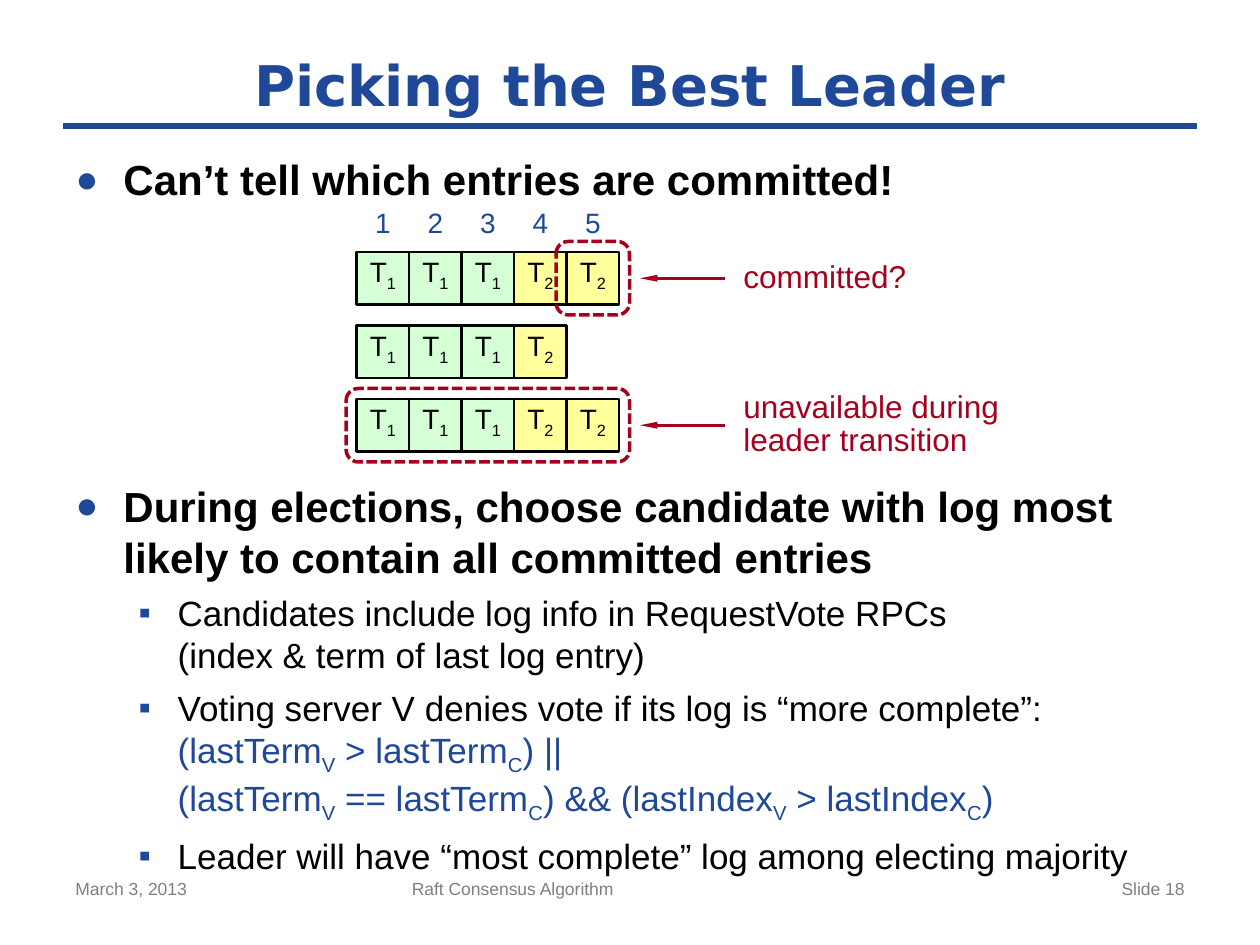
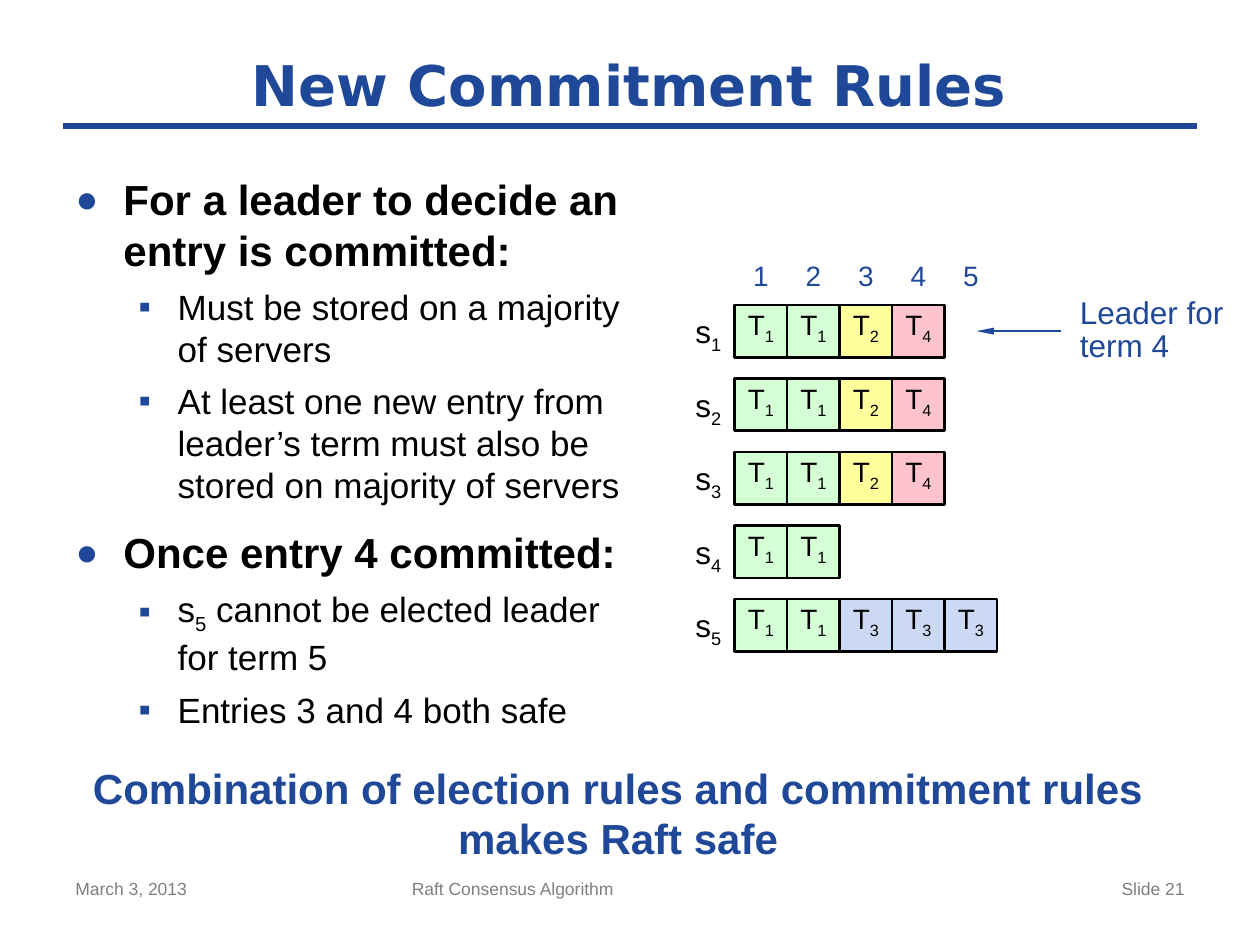
"""Build two slides of a lecture on the Raft consensus algorithm."""
from copy import deepcopy
from dataclasses import dataclass

from lxml.etree import SubElement
from pptx import Presentation
from pptx.dml.color import RGBColor
from pptx.enum.dml import MSO_LINE
from pptx.enum.shapes import MSO_CONNECTOR, MSO_SHAPE
from pptx.enum.text import MSO_ANCHOR as Anchor, MSO_AUTO_SIZE as AutoSize, PP_ALIGN as Align
from pptx.oxml.ns import qn
from pptx.util import Inches, Pt


@dataclass(frozen=True)
class Theme:
    blue: str = "1F4899"
    red: str = "A5001E"
    black: str = "000000"
    gray: str = "7F7F7F"
    font: str = "Arial"
    title_font: str = "DejaVu Sans"
    title_size: int = 32
    heading_size: int = 24
    detail_size: int = 20
    note_size: int = 18
    entry_size: int = 16
    footer_size: int = 10


THEME = Theme()
TERM_FILLS = {"1": "D5FFD5", "2": "FFFF9B", "3": "CCD9F4", "4": "FFC3CE"}
LEVELS = [
    dict(size=THEME.heading_size, bold=True, bullet="●", scale=90, indent=0.38, hang=0.38, gap=12),
    dict(size=THEME.detail_size, bold=False, bullet="▪", scale=100, indent=0.81, hang=0.31, gap=6),
]
DIAGRAM_GAP = 158
COLUMNS = 5
CELL = 5 / 12
ROW_PITCH = 7 / 12
FRAME_MARGIN = 1 / 12
ARROW_LENGTH = 0.67
FOOTERS = [
    ("March 3, 2013", 0.5, 2.33, Align.LEFT),
    ("Raft Consensus Algorithm", 3.17, 3.75, Align.LEFT),
    ("Slide {}", 7.17, 2.33, Align.RIGHT),
]

SLIDES = [
    dict(
        number=18,
        title="Picking the Best Leader",
        title_box=(0.5, 0.33, 9, 0.67),
        body_box=(0.5, 1.17, 9, 5.53),
        body=[
            (0, [("Can’t tell which entries are committed!", THEME.black)]),
            (0, [("During elections, choose candidate with log most likely to contain "
                  "all committed entries", THEME.black)]),
            (1, [("Candidates include log info in RequestVote RPCs\n"
                  "(index & term of last log entry)", THEME.black)]),
            (1, [("Voting server V denies vote if its log is “more complete”:\n", THEME.black),
                 ("(lastTerm~V~ > lastTerm~C~) ||\n"
                  "(lastTerm~V~ == lastTerm~C~) && (lastIndex~V~ > lastIndex~C~)", THEME.blue)]),
            (1, [("Leader will have “most complete” log among electing majority", THEME.black)]),
        ],
        gaps={1: DIAGRAM_GAP},
        log_corner=(2.83, 2),
        logs=["11122", "1112", "11122"],
        servers=[],
        notes=[
            dict(text="committed?", row=0, tip=5.08, width=2, height=0.27,
                 color=THEME.red, frame_from=4),
            dict(text="unavailable during leader transition", row=2, tip=5.08, width=2.77,
                 height=0.53, color=THEME.red, frame_from=0),
        ],
    ),
    dict(
        number=21,
        title="New Commitment Rules",
        title_box=(0.33, 0.33, 9.33, 0.67),
        body_box=(0.5, 1.33, 4.67, 4.67),
        body=[
            (0, [("For a leader to decide an entry is committed:", THEME.black)]),
            (1, [("Must be stored on a majority of servers", THEME.black)]),
            (1, [("At least one new entry from leader’s term must also be stored on "
                  "majority of servers", THEME.black)]),
            (0, [("Once entry 4 committed:", THEME.black)]),
            (1, [("s~5~ cannot be elected leader for term 5", THEME.black)]),
            (1, [("Entries 3 and 4 both safe", THEME.black)]),
        ],
        gaps={},
        log_corner=(5.83, 2.42),
        logs=["1124", "1124", "1124", "11", "11333"],
        servers=["s~1~", "s~2~", "s~3~", "s~4~", "s~5~"],
        notes=[
            dict(text="Leader for\nterm 4", row=0, tip=7.75, width=1.42, height=0.53,
                 color=THEME.blue, frame_from=None),
        ],
        conclusion="Combination of election rules and commitment rules\nmakes Raft safe",
    ),
]


def rgb(color):
    return RGBColor.from_string(color)


def place(shape, left, top, width, height):
    shape.left, shape.top = Inches(left), Inches(top)
    shape.width, shape.height = Inches(width), Inches(height)


def write(paragraph, text, size, color, bold=False, font=THEME.font):
    """Add text in runs; ~x~ is a subscript and a newline is a line break."""
    for position, piece in enumerate(text.split("~")):
        for line_number, line in enumerate(piece.split("\n")):
            if line_number:
                paragraph.add_line_break()
                paragraph._p[-1].append(deepcopy(paragraph.runs[-1]._r.rPr))
            if not line:
                continue
            run = paragraph.add_run()
            run.text = line
            run.font.name, run.font.size, run.font.bold = font, Pt(size), bold
            run.font.color.rgb = rgb(color)
            if position % 2:
                run.font._element.set("baseline", "-25000")


def set_insets(frame, inset):
    frame.margin_left = frame.margin_right = Inches(inset)
    frame.margin_top = frame.margin_bottom = Inches(inset)


def add_label(slide, box, text, size, color, align=Align.LEFT, inset=None, spacing=None,
              bold=False, wrap=True, grow=True):
    label = slide.shapes.add_textbox(*map(Inches, box))
    frame = label.text_frame
    frame.word_wrap = wrap
    frame.auto_size = AutoSize.SHAPE_TO_FIT_TEXT if grow else AutoSize.NONE
    if inset is not None:
        set_insets(frame, inset)
    paragraph = frame.paragraphs[0]
    paragraph.alignment = align
    if spacing:
        paragraph.line_spacing = Pt(spacing)
    write(paragraph, text, size, color, bold)


def add_line(slide, start, end, color, weight, arrow=False):
    line = slide.shapes.add_connector(MSO_CONNECTOR.STRAIGHT, *map(Inches, start + end))
    line.line.color.rgb, line.line.width = rgb(color), Pt(weight)
    if arrow:
        SubElement(line.line._get_or_add_ln(), qn("a:tailEnd"), type="triangle", w="sm", len="lg")
    SubElement(line._element.spPr, qn("a:effectLst"))


def add_box(slide, kind, box, fill, color, weight):
    shape = slide.shapes.add_shape(kind, *map(Inches, box))
    shape.shadow.inherit = False
    if fill:
        shape.fill.solid()
        shape.fill.fore_color.rgb = rgb(fill)
    else:
        shape.fill.background()
    shape.line.color.rgb, shape.line.width = rgb(color), Pt(weight)
    return shape


def add_title(slide, content):
    title = slide.shapes.title
    place(title, *content["title_box"])
    frame = title.text_frame
    frame.vertical_anchor, frame.auto_size = Anchor.MIDDLE, AutoSize.NONE
    frame.paragraphs[0].alignment = Align.CENTER
    write(frame.paragraphs[0], content["title"], THEME.title_size, THEME.blue, True,
          THEME.title_font)
    add_line(slide, (0.5, 1), (9.5, 1), THEME.blue, 4)


def set_bullet(paragraph, style):
    properties = paragraph._p.get_or_add_pPr()
    properties.set("marL", str(Inches(style["indent"])))
    properties.set("indent", str(-Inches(style["hang"])))
    bullet_color = SubElement(properties, qn("a:buClr"))
    SubElement(bullet_color, qn("a:srgbClr"), val=THEME.blue)
    SubElement(properties, qn("a:buSzPct"), val=str(style["scale"] * 1000))
    SubElement(properties, qn("a:buFont"), typeface=THEME.font)
    SubElement(properties, qn("a:buChar"), char=style["bullet"])


def add_body(slide, content):
    body = slide.placeholders[1]
    place(body, *content["body_box"])
    frame = body.text_frame
    frame.vertical_anchor, frame.auto_size = Anchor.TOP, AutoSize.NONE
    for index, (level, parts) in enumerate(content["body"]):
        style = LEVELS[level]
        paragraph = frame.add_paragraph() if index else frame.paragraphs[0]
        set_bullet(paragraph, style)
        paragraph.level = level
        paragraph.alignment = Align.LEFT
        paragraph.line_spacing = 1.0
        paragraph.space_before = Pt(content["gaps"].get(index, style["gap"]) if index else 0)
        for text, color in parts:
            write(paragraph, text, style["size"], color, style["bold"])


def add_entry(slide, left, top, term):
    entry = add_box(slide, MSO_SHAPE.RECTANGLE, (left, top, CELL, CELL), TERM_FILLS[term],
                    THEME.black, 1.5)
    frame = entry.text_frame
    set_insets(frame, 0)
    frame.vertical_anchor = Anchor.MIDDLE
    paragraph = frame.paragraphs[0]
    paragraph.alignment, paragraph.line_spacing = Align.CENTER, Pt(17)
    write(paragraph, f"T~{term}~", THEME.entry_size, THEME.black)


def add_logs(slide, content):
    left, top = content["log_corner"]
    for column in range(COLUMNS):
        add_label(slide, (left + column * CELL, top - CELL, CELL, 0.37), str(column + 1),
                  THEME.entry_size, THEME.blue, Align.CENTER)
    for row, terms in enumerate(content["logs"]):
        for column, term in enumerate(terms):
            add_entry(slide, left + column * CELL, top + row * ROW_PITCH, term)
    for row, server in enumerate(content["servers"]):
        add_label(slide, (left - CELL, top + row * ROW_PITCH + 0.06, CELL, 0.3), server,
                  THEME.note_size, THEME.black, Align.CENTER, inset=0)


def add_note(slide, content, note):
    left, top = content["log_corner"]
    row_top = top + note["row"] * ROW_PITCH
    middle = row_top + CELL / 2
    arrow_start = note["tip"] + ARROW_LENGTH
    add_label(slide, (arrow_start + 0.15, middle - note["height"] / 2, note["width"],
                      note["height"]),
              note["text"], THEME.note_size, note["color"], inset=0, spacing=19)
    add_line(slide, (arrow_start, middle), (note["tip"], middle), note["color"], 1.5, arrow=True)
    first = note["frame_from"]
    if first is not None:
        box = (left + first * CELL - FRAME_MARGIN, row_top - FRAME_MARGIN,
               (COLUMNS - first) * CELL + 2 * FRAME_MARGIN, CELL + 2 * FRAME_MARGIN)
        frame = add_box(slide, MSO_SHAPE.ROUNDED_RECTANGLE, box, None, note["color"], 2)
        frame.line.dash_style = MSO_LINE.SQUARE_DOT


def add_footers(slide, number):
    for text, left, width, align in FOOTERS:
        add_label(slide, (left, 6.92, width, 0.43), text.format(number), THEME.footer_size,
                  THEME.gray, align, grow=False)


def main():
    deck = Presentation()
    deck.slide_width, deck.slide_height = Inches(10), Inches(7.5)
    for content in SLIDES:
        slide = deck.slides.add_slide(deck.slide_layouts[1])
        add_title(slide, content)
        add_body(slide, content)
        add_footers(slide, content["number"])
        add_logs(slide, content)
        for note in content["notes"]:
            add_note(slide, content, note)
        if "conclusion" in content:
            add_label(slide, (0.6, 6, 8.61, 0.91), content["conclusion"], THEME.heading_size,
                      THEME.blue, Align.CENTER, bold=True, wrap=False)
    deck.save("out.pptx")


if __name__ == "__main__":
    main()
